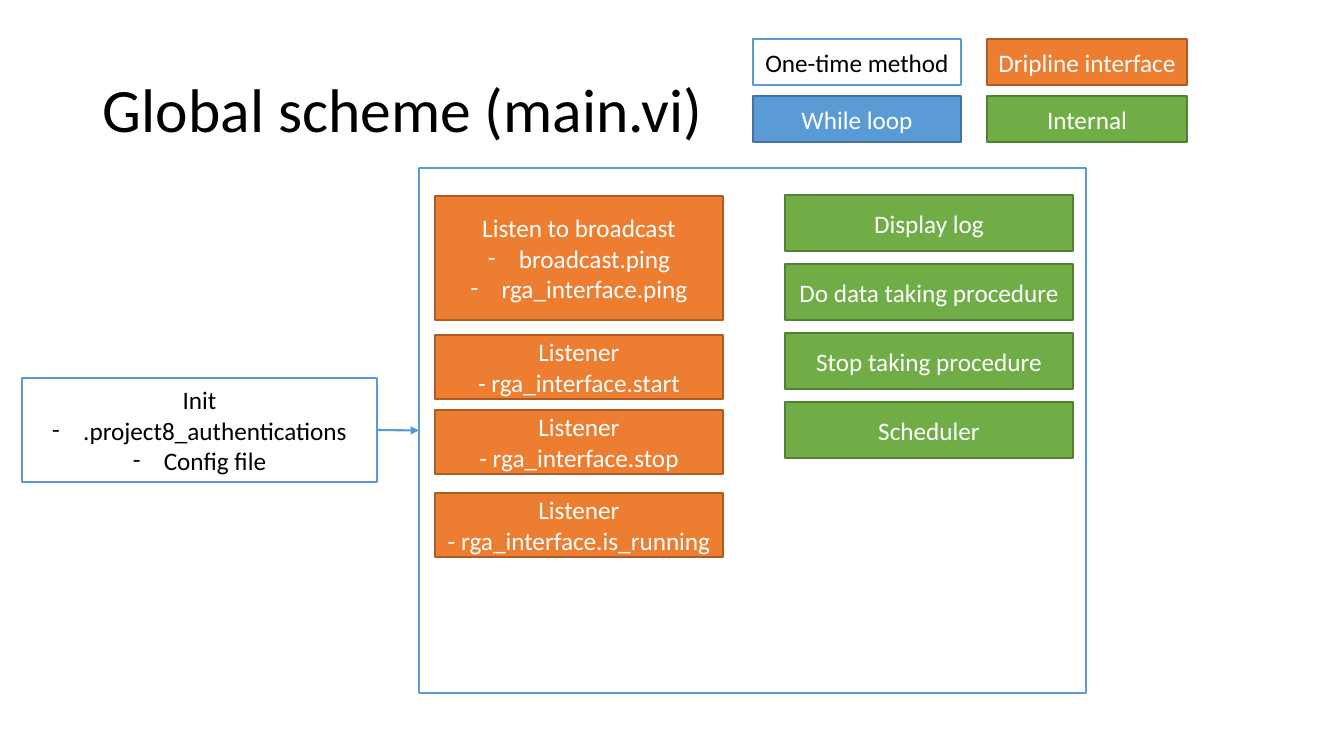
from lxml import etree
from pptx import Presentation
from pptx.dml.color import RGBColor
from pptx.enum.shapes import MSO_CONNECTOR, MSO_SHAPE
from pptx.enum.text import MSO_ANCHOR, PP_ALIGN
from pptx.oxml.ns import qn
from pptx.util import Pt

EMU_PER_PX = 914400 / 100.8
RECTANGLE = MSO_SHAPE.RECTANGLE
STRAIGHT = MSO_CONNECTOR.STRAIGHT
MIDDLE = MSO_ANCHOR.MIDDLE
LEFT, CENTER = PP_ALIGN.LEFT, PP_ALIGN.CENTER
LEFT_SITE, RIGHT_SITE = 1, 3

BLACK = RGBColor(0x00, 0x00, 0x00)
WHITE = RGBColor(0xFF, 0xFF, 0xFF)
BLUE = RGBColor(0x5B, 0x9B, 0xD5)
DARK_BLUE = RGBColor(0x43, 0x73, 0x9E)
ORANGE = RGBColor(0xED, 0x7D, 0x31)
DARK_ORANGE = RGBColor(0xAF, 0x5C, 0x24)
GREEN = RGBColor(0x70, 0xAD, 0x47)
DARK_GREEN = RGBColor(0x53, 0x80, 0x35)

# Fill, outline and text colour of each kind of step
ONE_TIME = (WHITE, BLUE, BLACK)
WHILE_LOOP = (BLUE, DARK_BLUE, WHITE)
INTERFACE = (ORANGE, DARK_ORANGE, WHITE)
INTERNAL = (GREEN, DARK_GREEN, WHITE)


def px(length):
    """Turn picture pixels into EMU."""
    return round(length * EMU_PER_PX)


class SchemeSlide:
    """Holds the slide and the style of its elements."""

    font_name = "Calibri"
    title_size = Pt(44)
    body_size = Pt(18)
    outline = Pt(1)
    arrow_width = Pt(1.5)
    bullet_indent = px(31)

    def __init__(self, slide):
        self.slide = slide

    def style_font(self, paragraph, size, color):
        """Set the font of a whole paragraph."""
        font = paragraph.font
        font.name, font.size = self.font_name, size
        font.color.rgb = color

    def add_dash(self, paragraph):
        """Give a paragraph a dash bullet with a hanging indent."""
        properties = paragraph._p.get_or_add_pPr()
        properties.set("marL", str(self.bullet_indent))
        properties.set("indent", str(-self.bullet_indent))
        etree.SubElement(properties, qn("a:buFont"), typeface=self.font_name)
        etree.SubElement(properties, qn("a:buChar"), char="-")

    def title(self, text, left, top, width, height):
        """Add the slide title."""
        frame = self.slide.shapes.add_textbox(
            px(left), px(top), px(width), px(height)).text_frame
        frame.word_wrap = True
        frame.vertical_anchor = MIDDLE
        heading = frame.paragraphs[0]
        heading.text = text
        heading.alignment = LEFT
        heading.line_spacing = 0.9
        self.style_font(heading, self.title_size, BLACK)

    def box(self, kind, left, top, width, height, lines=(), bullets=()):
        """Add a box with centred lines, followed by dashed ones."""
        fill, line, text_color = kind
        box = self.slide.shapes.add_shape(
            RECTANGLE, px(left), px(top), px(width), px(height))
        box.shadow.inherit = False
        box.fill.solid()
        box.fill.fore_color.rgb = fill
        box.line.color.rgb = line
        box.line.width = self.outline
        frame = box.text_frame
        frame.word_wrap = True
        frame.vertical_anchor = MIDDLE
        for index, text in enumerate((*lines, *bullets)):
            paragraph = frame.add_paragraph() if index else frame.paragraphs[0]
            paragraph.text = text
            paragraph.alignment = CENTER
            if index >= len(lines):
                self.add_dash(paragraph)
            self.style_font(paragraph, self.body_size, text_color)
        return box

    def arrow(self, source, target):
        """Join the right side of one box to the left side of another."""
        arrow = self.slide.shapes.add_connector(STRAIGHT, 0, 0, 0, 0)
        arrow.begin_connect(source, RIGHT_SITE)
        arrow.end_connect(target, LEFT_SITE)
        arrow.line.color.rgb = BLUE
        arrow.line.width = self.arrow_width
        etree.SubElement(arrow.line._get_or_add_ln(), qn("a:tailEnd"),
                         type="triangle")
        etree.SubElement(arrow._element.spPr, qn("a:effectLst"))


prs = Presentation()
prs.slide_width, prs.slide_height = px(1344), px(756)
scheme = SchemeSlide(prs.slides.add_slide(prs.slide_layouts[6]))

scheme.title("Global scheme (main.vi)", 93, 40, 1159, 146)

init = scheme.box(ONE_TIME, 22, 378, 355, 104, ["Init"],
                  [".project8_authentications", "Config file"])
main_loop = scheme.box(ONE_TIME, 419, 168, 667, 525)
scheme.arrow(init, main_loop)

COLUMN_WIDTH = 288
LISTENER_LEFT, INTERNAL_LEFT = 435, 785
scheme.box(INTERFACE, LISTENER_LEFT, 196, COLUMN_WIDTH, 124,
           ["Listen to broadcast"], ["broadcast.ping", "rga_interface.ping"])
for top, command in ((335, "start"), (410, "stop"), (493, "is_running")):
    scheme.box(INTERFACE, LISTENER_LEFT, top, COLUMN_WIDTH, 64,
               ["Listener", f"- rga_interface.{command}"])

internal_steps = ("Display log", "Do data taking procedure",
                  "Stop taking procedure", "Scheduler")
for row, step in enumerate(internal_steps):
    scheme.box(INTERNAL, INTERNAL_LEFT, 195 + 69 * row, COLUMN_WIDTH, 56,
               [step])

legend = (
    (753, 208, (("One-time method", ONE_TIME), ("While loop", WHILE_LOOP))),
    (987, 200, (("Dripline interface", INTERFACE), ("Internal", INTERNAL))),
)
for left, width, entries in legend:
    for row, (label, kind) in enumerate(entries):
        scheme.box(kind, left, 39 + 57 * row, width, 46, [label])

prs.save("out.pptx")
